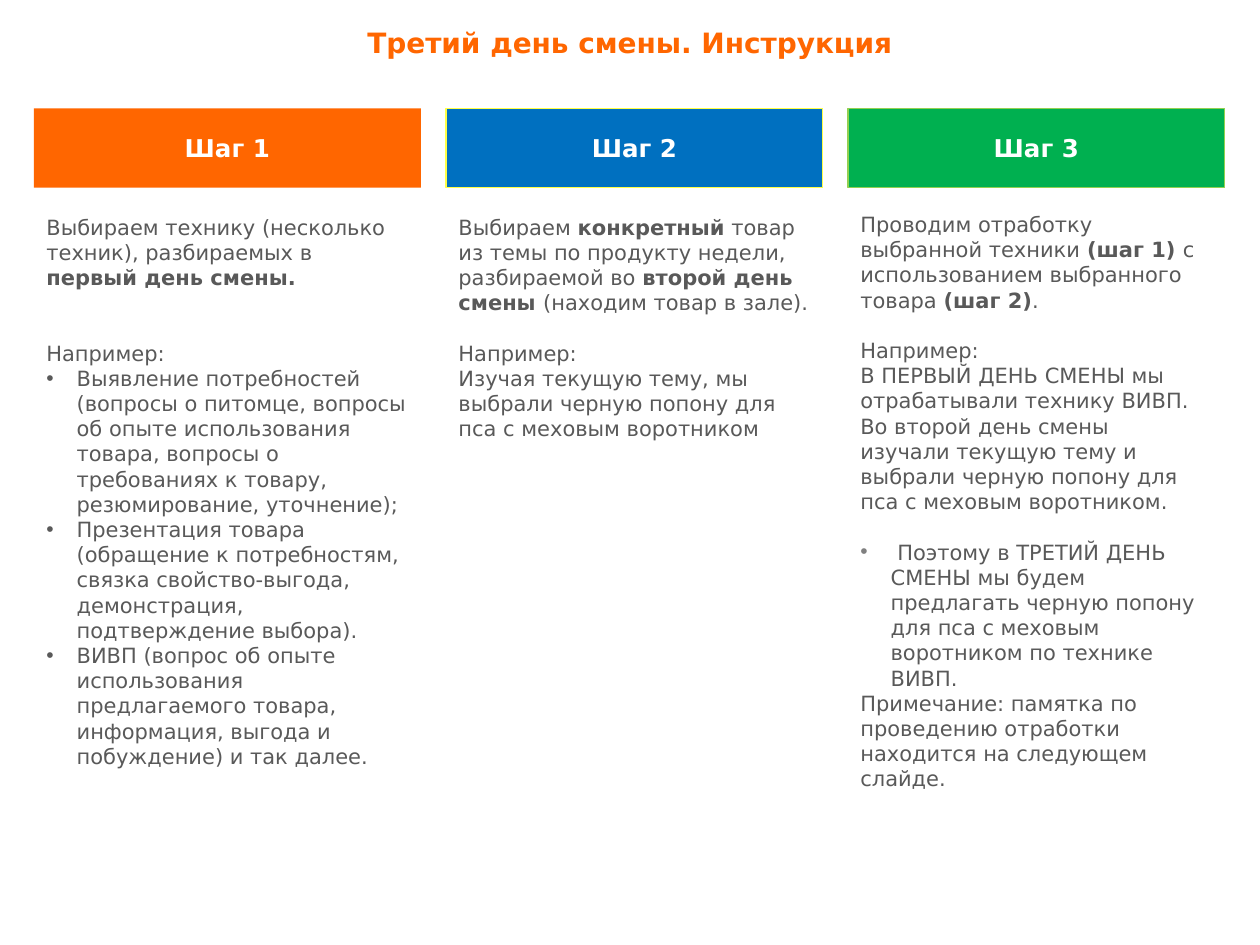
from dataclasses import dataclass

from lxml import etree
from pptx import Presentation
from pptx.dml.color import RGBColor
from pptx.enum.shapes import MSO_SHAPE
from pptx.enum.text import MSO_ANCHOR, MSO_AUTO_SIZE, PP_ALIGN
from pptx.oxml.ns import qn
from pptx.slide import Slide
from pptx.util import Inches, Pt

RECTANGLE = MSO_SHAPE.RECTANGLE
TOP, MIDDLE = MSO_ANCHOR.TOP, MSO_ANCHOR.MIDDLE
CENTER = PP_ALIGN.CENTER
NO_AUTOFIT = MSO_AUTO_SIZE.NONE

ORANGE = RGBColor(0xFF, 0x66, 0x00)
BLUE = RGBColor(0x00, 0x70, 0xC0)
GREEN = RGBColor(0x00, 0xB0, 0x50)
YELLOW = RGBColor(0xFF, 0xFF, 0x47)
LIME = RGBColor(0x92, 0xD0, 0x50)
WHITE = RGBColor(0xFF, 0xFF, 0xFF)
DARK_GRAY = RGBColor(0x59, 0x59, 0x59)
GRAY = RGBColor(0x80, 0x80, 0x80)

FONT = "DejaVu Sans"
HEADER_TOP, HEADER_HEIGHT = 0.86, 0.63
BULLET_INDENT = Inches(0.24)
LINE_HEIGHT = 14.4


@dataclass
class Paragraph:
    text: str  # bold parts stand between ** marks
    lines_before: int = 0
    bullet: RGBColor | None = None


@dataclass
class Step:
    title: str
    left: float
    width: float
    fill: RGBColor
    line: RGBColor | None
    text_top: float
    text_width: float
    text_height: float
    paragraphs: list[Paragraph]


STEPS = [
    Step("Шаг 1", 0.27, 3.07, ORANGE, None, 1.65, 3.07, 4.96, [
        Paragraph("Выбираем технику (несколько техник), разбираемых в "
                  "**первый день смены.**"),
        Paragraph("Например:", lines_before=2),
        Paragraph("Выявление потребностей (вопросы о питомце, вопросы об опыте "
                  "использования товара, вопросы о требованиях к товару, "
                  "резюмирование, уточнение);", bullet=DARK_GRAY),
        Paragraph("Презентация товара (обращение к потребностям, связка "
                  "свойство-выгода, демонстрация, подтверждение выбора).",
                  bullet=DARK_GRAY),
        Paragraph("ВИВП (вопрос об опыте использования предлагаемого товара, "
                  "информация, выгода и побуждение) и так далее.",
                  bullet=DARK_GRAY),
    ]),
    Step("Шаг 2", 3.54, 2.99, BLUE, YELLOW, 1.65, 2.99, 2.99, [
        Paragraph("Выбираем **конкретный** товар из темы по продукту недели, "
                  "разбираемой во **второй день смены **(находим товар в зале)."),
        Paragraph("Например:", lines_before=1),
        Paragraph("Изучая текущую тему, мы выбрали черную попону для пса "
                  "с меховым воротником"),
    ]),
    Step("Шаг 3", 6.73, 2.99, GREEN, LIME, 1.63, 2.91, 4.96, [
        Paragraph("Проводим отработку выбранной техники **(шаг 1) **"
                  "с использованием выбранного товара **(шаг 2)**."),
        Paragraph("Например:", lines_before=1),
        Paragraph("В ПЕРВЫЙ ДЕНЬ СМЕНЫ мы отрабатывали технику ВИВП. Во второй "
                  "день смены изучали текущую тему и выбрали черную попону "
                  "для пса с меховым воротником."),
        Paragraph(" Поэтому в ТРЕТИЙ ДЕНЬ СМЕНЫ мы будем предлагать черную "
                  "попону для пса с меховым воротником по технике ВИВП.",
                  lines_before=1, bullet=GRAY),
        Paragraph("Примечание: памятка по проведению отработки находится "
                  "на следующем слайде."),
    ]),
]


def set_font(para, size: float, color: RGBColor, bold: bool | None = None) -> None:
    para.font.name = FONT
    para.font.size = Pt(size)
    para.font.color.rgb = color
    para.font.bold = bold


def add_bullet(para, color: RGBColor) -> None:
    properties = para._p.get_or_add_pPr()
    properties.set("marL", str(BULLET_INDENT))
    properties.set("indent", str(-BULLET_INDENT))
    bullet_color = etree.SubElement(properties, qn("a:buClr"))
    etree.SubElement(bullet_color, qn("a:srgbClr"), val=str(color))
    etree.SubElement(properties, qn("a:buFont"), typeface="Arial")
    etree.SubElement(properties, qn("a:buChar"), char="•")


def add_title(slide: Slide, text: str) -> None:
    title = slide.shapes.title
    title.left, title.top = Inches(0), Inches(0.15)
    title.width, title.height = Inches(10), Inches(0.37)
    frame = title.text_frame
    frame.text = text
    frame.auto_size = NO_AUTOFIT
    frame.vertical_anchor = TOP
    para = frame.paragraphs[0]
    para.alignment = CENTER
    set_font(para, 16, ORANGE, bold=True)


def add_header(slide: Slide, step: Step) -> None:
    header = slide.shapes.add_shape(
        RECTANGLE, Inches(step.left), Inches(HEADER_TOP),
        Inches(step.width), Inches(HEADER_HEIGHT))
    header.shadow.inherit = False
    header.fill.solid()
    header.fill.fore_color.rgb = step.fill
    if step.line is None:
        header.line.fill.background()
    else:
        header.line.color.rgb = step.line
        header.line.width = Pt(0.75)
    frame = header.text_frame
    frame.text = step.title
    frame.vertical_anchor = MIDDLE
    para = frame.paragraphs[0]
    para.alignment = CENTER
    set_font(para, 14, WHITE, bold=True)


def add_instructions(slide: Slide, step: Step) -> None:
    box = slide.shapes.add_textbox(
        Inches(step.left), Inches(step.text_top),
        Inches(step.text_width), Inches(step.text_height))
    frame = box.text_frame
    frame.word_wrap = True
    for index, paragraph in enumerate(step.paragraphs):
        para = frame.add_paragraph() if index else frame.paragraphs[0]
        if paragraph.lines_before:
            para.space_before = Pt(paragraph.lines_before * LINE_HEIGHT)
        if paragraph.bullet is not None:
            add_bullet(para, paragraph.bullet)
        set_font(para, 12, DARK_GRAY)
        for position, part in enumerate(paragraph.text.split("**")):
            if part:
                span = para.add_run()
                span.text = part
                if position % 2:
                    span.font.bold = True


def main() -> None:
    deck = Presentation()
    deck.slide_width, deck.slide_height = Inches(10), Inches(7.5)
    slide = deck.slides.add_slide(deck.slide_layouts.get_by_name("Title Only"))
    add_title(slide, "Третий день смены. Инструкция")
    for step in STEPS:
        add_header(slide, step)
        add_instructions(slide, step)
    deck.save("out.pptx")


if __name__ == "__main__":
    main()
